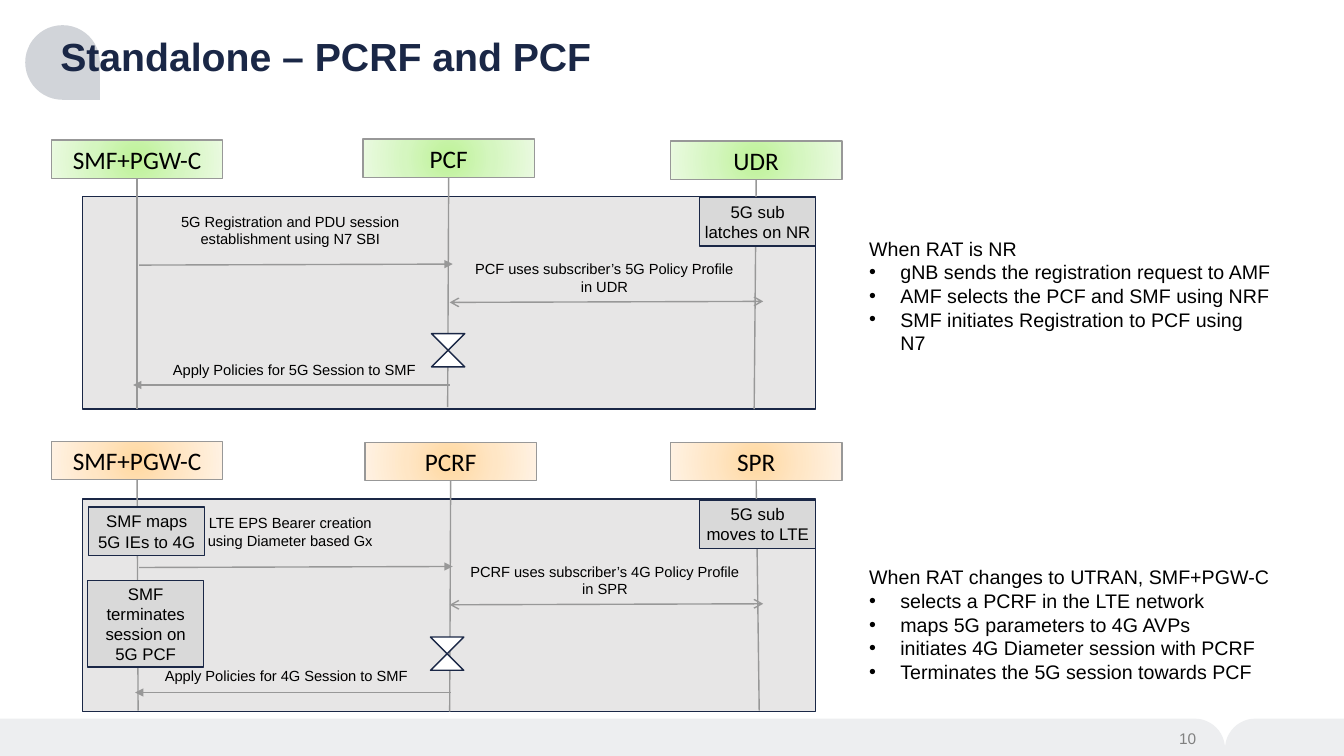
from math import cos, pi, sin

from lxml.etree import SubElement
from pptx import Presentation
from pptx.dml.color import RGBColor
from pptx.enum.shapes import MSO_CONNECTOR, MSO_SHAPE
from pptx.enum.text import MSO_ANCHOR, PP_ALIGN
from pptx.oxml.ns import qn
from pptx.util import Inches, Pt

NAVY = RGBColor(0x1A, 0x27, 0x46)
BLACK = RGBColor(0x00, 0x00, 0x00)
WHITE = RGBColor(0xFF, 0xFF, 0xFF)
LINE_GREY = RGBColor(0x98, 0x98, 0x98)
NUMBER_GREY = RGBColor(0x80, 0x80, 0x80)
PANEL_GREY = RGBColor(0xE7, 0xE6, 0xE6)
NOTE_GREY = RGBColor(0xD9, 0xD9, 0xD9)
FOOTER_GREY = RGBColor(0xED, 0xEE, 0xF0)
DROP_GREY = RGBColor(0xD1, 0xD4, 0xD9)
GREENS = [RGBColor.from_string(c) for c in ("BEF297", "D5F6C0", "EAFAE0")]
ORANGES = [RGBColor.from_string(c) for c in ("FFD8A0", "FFE6C5", "FFF2E3")]

presentation = Presentation()
presentation.slide_width = Inches(13.33)
presentation.slide_height = Inches(7.5)
slide = presentation.slides.add_slide(presentation.slide_layouts[6])
shapes = slide.shapes


def add_box(position, lines=(), preset=None, fill=None, line=None, size=12, font="Arial",
            color=BLACK, bold=False, align=PP_ALIGN.CENTER, anchor=MSO_ANCHOR.MIDDLE,
            inset=0.05, wrap=True):
    """Add a preset shape, or a text box when no preset is given."""
    place = [Inches(length) for length in position]
    if preset is None:
        shape = shapes.add_textbox(*place)
    else:
        shape = shapes.add_shape(preset, *place)
        shape.shadow.inherit = False
        if fill is not None:
            shape.fill.solid()
            shape.fill.fore_color.rgb = fill
        if line is None:
            shape.line.fill.background()
        else:
            shape.line.color.rgb = line
            shape.line.width = Pt(1)
    frame = shape.text_frame
    frame.word_wrap = wrap
    frame.vertical_anchor = anchor
    frame.margin_left = frame.margin_right = Inches(inset)
    frame.margin_top = frame.margin_bottom = Inches(0.05)
    for index, text in enumerate(lines):
        paragraph = frame.paragraphs[0] if index == 0 else frame.add_paragraph()
        paragraph.alignment = align
        run = paragraph.add_run()
        run.text = text
        run.font.size = Pt(size)
        run.font.name = font
        run.font.bold = bold
        run.font.color.rgb = color
    return shape


def add_line(start, end, head=None, tail=None):
    """Add a grey line with optional arrowheads at its ends."""
    ends = [Inches(length) for length in (*start, *end)]
    connector = shapes.add_connector(MSO_CONNECTOR.STRAIGHT, *ends)
    connector.line.color.rgb = LINE_GREY
    connector.line.width = Pt(1)
    properties = connector._element.spPr
    for tag, kind in (("a:headEnd", head), ("a:tailEnd", tail)):
        if kind:
            SubElement(properties.find(qn("a:ln")), qn(tag), type=kind)
    SubElement(properties, qn("a:effectLst"))


# Corner drop and footer bars, whose rounded corners meet at the page number
drop = add_box((0.25, 0.25, 0.74, 0.74), preset=MSO_SHAPE.TEAR, fill=DROP_GREY)
drop.rotation = 90
NOTCH, RADIUS, FOOTER_TOP = 12.15, 0.3, 7.13
for outer, side in ((13.33, 1), (0, -1)):
    arc = [(NOTCH + side * RADIUS * (1 - sin(step * pi / 24)),
            FOOTER_TOP + RADIUS * (1 - cos(step * pi / 24))) for step in range(13)]
    outline = [(Inches(x), Inches(y)) for x, y in arc + [(NOTCH, 7.5), (outer, 7.5)]]
    builder = shapes.build_freeform(Inches(outer), Inches(FOOTER_TOP))
    builder.add_line_segments(outline, close=True)
    footer = builder.convert_to_shape()
    footer.shadow.inherit = False
    footer.fill.solid()
    footer.fill.fore_color.rgb = FOOTER_GREY
    footer.line.fill.background()
add_box((11.41, 7.18, 0.74, 0.29), ["10"], size=11, color=NUMBER_GREY)

# Title
title = add_box((0.5, 0.32, 12.62, 0.6), ["Standalone – PCRF and PCF"], size=28, color=NAVY,
                bold=True, align=PP_ALIGN.LEFT, anchor=MSO_ANCHOR.TOP, inset=0.1)
title.text_frame.paragraphs[0].line_spacing = 0.9

# Two call flows: 5G above, 4G below
flows = [
    dict(
        panel_top=1.95, colors=GREENS,
        nodes=[("SMF+PGW-C", 0.51, 1.39, 1.36, 4.06), ("PCF", 3.6, 1.38, 4.44, 4.04),
               ("UDR", 6.65, 1.4, 7.48, 4.06)],
        reply=((4.46, 3.82), (1.32, 3.82)),
        notes=[("5G sub latches on NR", 6.94, 1.96, 0.48)],
        labels=[(1.72, 2.06, 2.32, ["5G Registration and PDU session",
                                    "establishment using N7 SBI"]),
                (4.66, 2.53, 2.67, ["PCF uses subscriber’s 5G Policy Profile", "in UDR"]),
                (1.66, 3.53, 2.52, ["Apply Policies for 5G Session to SMF"])],
        collate=(4.28, 3.31),
    ),
    dict(
        panel_top=4.95, colors=ORANGES,
        nodes=[("SMF+PGW-C", 0.51, 4.38, 1.37, 7.05), ("PCRF", 3.62, 4.39, 4.46, 7.06),
               ("SPR", 6.65, 4.39, 7.53, 7.05)],
        reply=((4.47, 6.87), (1.34, 6.87)),
        notes=[("5G sub moves to LTE", 6.94, 4.96, 0.48),
               ("SMF maps 5G IEs to 4G", 0.88, 5.03, 0.48),
               ("SMF terminates session on 5G PCF", 0.87, 5.76, 0.86)],
        labels=[(2.01, 5.05, 1.74, ["LTE EPS Bearer creation", "using Diameter based Gx"]),
                (4.61, 5.53, 2.78, ["PCRF uses subscriber’s 4G Policy Profile", "in SPR"]),
                (1.58, 6.57, 2.52, ["Apply Policies for 4G Session to SMF"])],
        collate=(4.27, 6.32),
    ),
]
for flow in flows:
    top = flow["panel_top"]
    add_box((0.82, top, 7.27, 2.11), preset=MSO_SHAPE.RECTANGLE, fill=PANEL_GREY, line=NAVY)

    # Network functions with a radial gradient, and their lifelines
    for name, left, node_top, foot_x, foot_y in flow["nodes"]:
        node = add_box((left, node_top, 1.7, 0.38), [name], MSO_SHAPE.RECTANGLE,
                       line=LINE_GREY, size=18, font="Calibri")
        node.fill.gradient()
        gradient = node._element.spPr.find(qn("a:gradFill"))
        for child in list(gradient):
            gradient.remove(child)
        stops = SubElement(gradient, qn("a:gsLst"))
        for position, color in zip((0, 50000, 100000), flow["colors"]):
            stop = SubElement(stops, qn("a:gs"), pos=str(position))
            SubElement(stop, qn("a:srgbClr"), val=str(color))
        circle = SubElement(gradient, qn("a:path"), path="circle")
        SubElement(circle, qn("a:fillToRect"), l="50000", t="50000", r="50000", b="50000")
        add_line((left + 0.85, node_top + 0.38), (foot_x, foot_y))

    # Messages
    add_line((1.38, top + 0.68), (4.49, top + 0.67), tail="triangle")
    add_line((4.46, top + 1.05), (7.57, top + 1.04), head="arrow", tail="arrow")
    add_line(*flow["reply"], tail="triangle")
    for left, label_top, width, lines in flow["labels"]:
        add_box((left, label_top, width, 0.1 + 0.165 * len(lines)), lines, size=10.5,
                anchor=MSO_ANCHOR.TOP, wrap=False)

    # Notes and the processing symbol
    for text, left, note_top, height in flow["notes"]:
        add_box((left, note_top, 1.15, height), [text], MSO_SHAPE.RECTANGLE,
                fill=NOTE_GREY, line=NAVY)
    add_box((*flow["collate"], 0.33, 0.33), preset=MSO_SHAPE.FLOWCHART_COLLATE,
            fill=WHITE, line=NAVY)

# Explanations: a lead line followed by bullets
explanations = [
    (2.3, 1.28, ["When RAT is NR",
                 "gNB sends the registration request to AMF",
                 "AMF selects the PCF and SMF using NRF",
                 "SMF initiates Registration to PCF using N7"]),
    (5.56, 1.28, ["When RAT changes to UTRAN, SMF+PGW-C",
                  "selects a PCRF in the LTE network",
                  "maps 5G parameters to 4G AVPs",
                  "initiates 4G Diameter session with PCRF",
                  "Terminates the 5G session towards PCF"]),
]
for top, height, lines in explanations:
    explanation = add_box((8.57, top, 4.09, height), lines, size=14, align=PP_ALIGN.LEFT,
                          anchor=MSO_ANCHOR.TOP)
    for paragraph in explanation.text_frame.paragraphs[1:]:
        properties = paragraph._p.get_or_add_pPr()
        properties.set("marL", str(Inches(0.31)))
        properties.set("indent", str(Inches(-0.31)))
        SubElement(properties, qn("a:buFont"), typeface="Arial")
        SubElement(properties, qn("a:buChar"), char="•")

presentation.save("out.pptx")
